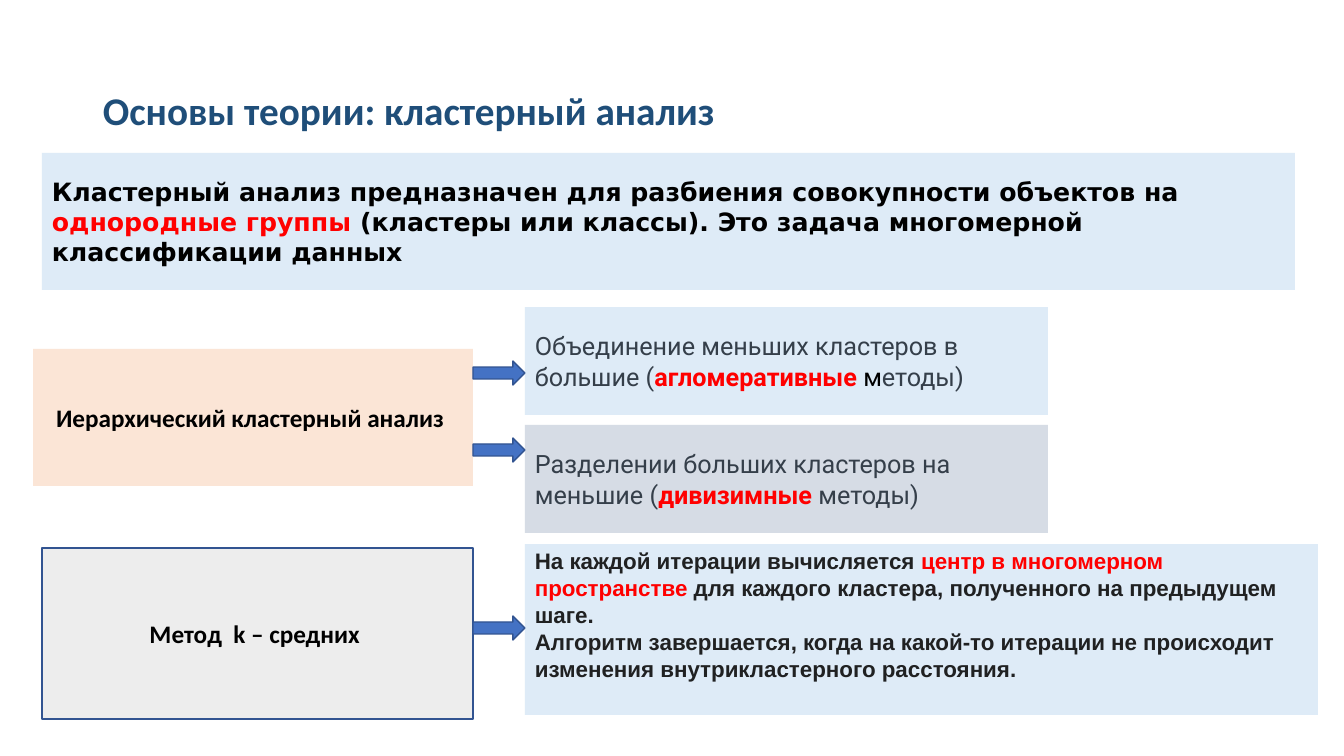
"""Build the slide on the basics of cluster analysis."""
from pptx import Presentation
from pptx.dml.color import RGBColor
from pptx.enum.shapes import MSO_SHAPE
from pptx.enum.text import MSO_ANCHOR, PP_ALIGN
from pptx.util import Emu, Pt

RECT, ARROW = MSO_SHAPE.RECTANGLE, MSO_SHAPE.RIGHT_ARROW
MIDDLE = MSO_ANCHOR.MIDDLE
LEFT, CENTER = PP_ALIGN.LEFT, PP_ALIGN.CENTER
SCALE = 914400 / 100.8
ARROW_W, ARROW_H = 52, 24

COLORS = {
    "title": "1F4E79", "black": "000000", "accent": "FF0000",
    "slate": "353F4A", "ink": "202122", "pale_blue": "DEEBF7",
    "peach": "FBE5D6", "blue_gray": "D6DCE5", "gray": "EDEDED",
    "arrow": "4472C4", "outline": "325491",
}


def px(length):
    """Turn pixels into EMU."""
    return Emu(round(length * SCALE))


def rgb(name):
    """Look up a colour by name."""
    return RGBColor.from_string(COLORS[name])


def write_text(shape, *paragraphs, font="Calibri", size=18, color="black",
               bold=True, align=LEFT, spacing=None, bottom=5):
    """Write paragraphs of (text, overrides) runs with a shared format."""
    frame = shape.text_frame
    frame.word_wrap = True
    frame.vertical_anchor = MIDDLE
    frame.margin_bottom = px(bottom)
    for index, runs in enumerate(paragraphs):
        paragraph = frame.add_paragraph() if index else frame.paragraphs[0]
        paragraph.alignment = align
        paragraph.line_spacing = spacing
        for text, overrides in runs:
            run = paragraph.add_run()
            run.text = text
            run.font.name = font
            run.font.size = Pt(size)
            run.font.bold = overrides.get("bold", bold)
            run.font.color.rgb = rgb(overrides.get("color", color))


def add_block(slide, kind, box, fill, outline=None):
    """Add a filled shape, outlined only when a colour is given."""
    block = slide.shapes.add_shape(kind, *map(px, box))
    block.shadow.inherit = False
    block.fill.solid()
    block.fill.fore_color.rgb = rgb(fill)
    if outline:
        block.line.color.rgb = rgb(outline)
        block.line.width = Pt(1)
    else:
        block.line.fill.background()
    return block


def add_arrow(slide, left, top):
    """Add an arrow leading from a method to its explanation."""
    add_block(slide, ARROW, (left, top, ARROW_W, ARROW_H), "arrow", "outline")


def add_title(slide, box):
    """Add the slide heading."""
    heading = slide.shapes.add_textbox(*map(px, box))
    write_text(heading, [("Основы теории: кластерный анализ", {})],
               size=28, color="title", spacing=0.9)


def add_definition(slide, box):
    """Add the definition of cluster analysis."""
    definition = add_block(slide, RECT, box, "pale_blue")
    write_text(definition, [
        ("Кластерный анализ предназначен для разбиения совокупности объектов на ", {}),
        ("однородные группы ", {"color": "accent"}),
        ("(кластеры или классы). Это задача многомерной классификации данных", {}),
    ], font="DejaVu Sans")


def add_hierarchical(slide, box):
    """Add hierarchical analysis with its two kinds of methods."""
    left, top, width, height = box
    method_w, gap = 440, 10
    kind_left = left + method_w + ARROW_W
    kind_h = (height - gap) // 2
    method = add_block(slide, RECT, (left, top + 42, method_w, 137), "peach")
    write_text(method, [("Иерархический кластерный анализ ", {})], align=CENTER)
    accent = {"color": "accent", "bold": True}
    kinds = [
        ("pale_blue", 54, [("Объединение меньших кластеров в большие (", {}),
                           ("агломеративные ", accent),
                           ("м", {"color": "black"}), ("етоды)", {})]),
        ("blue_gray", 131, [("Разделении больших кластеров на меньшие (", {}),
                            ("дивизимные ", accent), ("методы)", {})]),
    ]
    for row, (fill, arrow_top, runs) in enumerate(kinds):
        kind = add_block(slide, RECT, (kind_left, top + row * (kind_h + gap),
                                       left + width - kind_left, kind_h), fill)
        write_text(kind, runs, font="Roboto", color="slate", bold=False)
        add_arrow(slide, left + method_w, top + arrow_top)


def add_k_means(slide, box):
    """Add the k-means method with its description."""
    left, top, width, height = box
    method_w, offset = 431, 4
    text_left = left + method_w + ARROW_W
    block_h = height - offset
    method = add_block(slide, RECT, (left, top + offset, method_w, block_h),
                       "gray", "outline")
    write_text(method, [("Метод  k – средних ", {})], align=CENTER)
    description = add_block(slide, RECT, (text_left, top, left + width - text_left,
                                          block_h), "pale_blue")
    write_text(description, [
        ("На каждой итерации вычисляется\u00a0", {}),
        ("центр в многомерном пространстве", {"color": "accent"}),
        (" для каждого кластера, полученного на предыдущем шаге. ", {}),
    ], [
        ("Алгоритм завершается, когда на какой-то итерации не происходит "
         "изменения внутрикластерного расстояния.\u00a0", {}),
    ], font="Arial", size=16, color="ink", bottom=35)
    add_arrow(slide, left + method_w, top + 72)


def main():
    """Build and save the presentation."""
    deck = Presentation()
    deck.slide_width, deck.slide_height = px(1344), px(756)
    slide = deck.slides.add_slide(deck.slide_layouts[6])
    add_title(slide, (93, 40, 1159, 146))
    add_definition(slide, (42, 153, 1253, 137))
    add_hierarchical(slide, (33, 307, 1015, 226))
    add_k_means(slide, (42, 544, 1276, 175))
    deck.save("out.pptx")


main()
